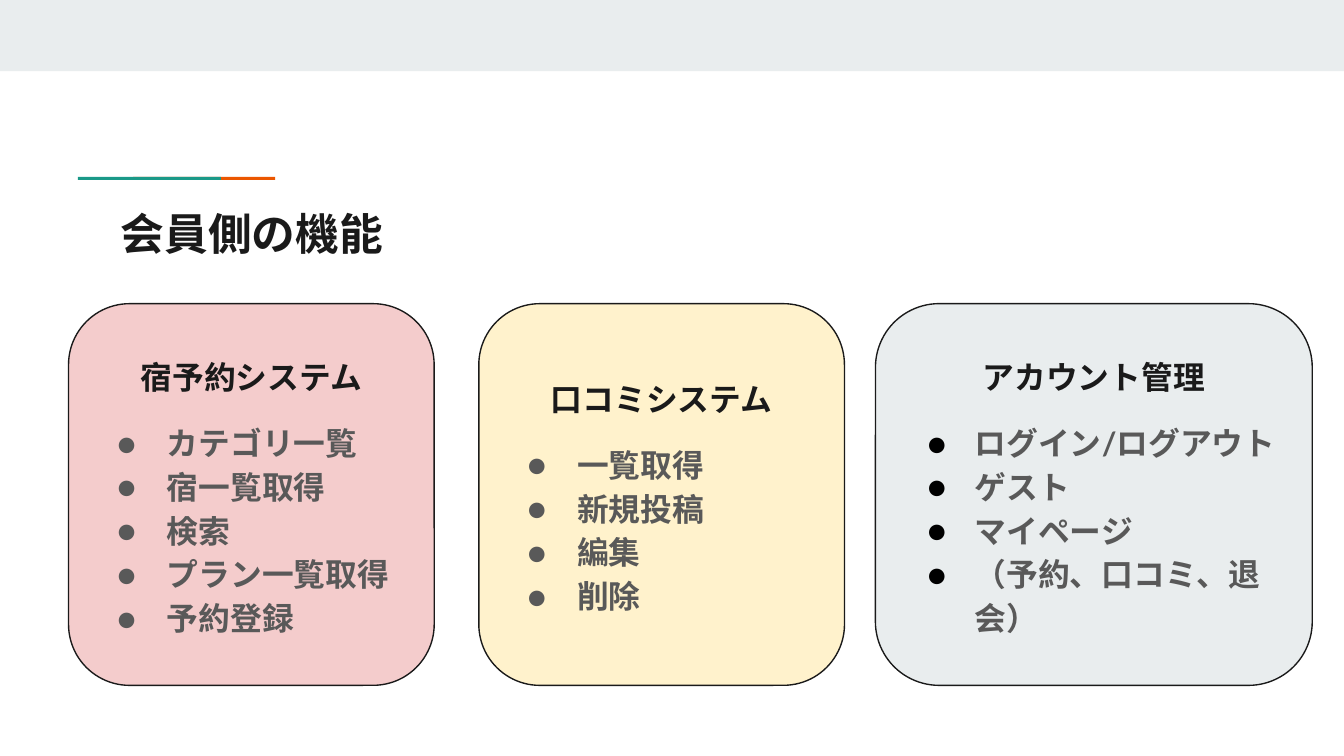
"""Build the slide listing the member-side features in three cards."""
from lxml.etree import SubElement
from pptx import Presentation
from pptx.dml.color import RGBColor
from pptx.enum.shapes import MSO_SHAPE
from pptx.enum.text import MSO_ANCHOR, PP_ALIGN
from pptx.oxml.ns import qn
from pptx.util import Pt

COLORS = {"ink": "1A1A1A", "grey": "595959", "black": "000000", "mist": "E9EDEE",
          "teal": "1A9988", "orange": "EB5600", "pink": "F4CCCC", "cream": "FFF2CC"}
TITLE = {"name": "Manrope", "size": Pt(23.4), "bold": True}
BODY = {"name": "Lato", "size": Pt(17), "bold": True}
INSETS = {"margin_left": Pt(7.2), "margin_right": Pt(7.2), "margin_top": Pt(7.2),
          "margin_bottom": Pt(7.2), "word_wrap": True}
BARS = [(0, 0, 720, 38.2, "mist"), (71.3, 94.8, 76.1, 1.6, "orange"),
        (41.8, 94.8, 76.6, 1.6, "teal")]
CARDS = [
    (36.7, 195.9, "pink", "grey", 26.6, "宿予約システム",
     ["カテゴリ一覧", "宿一覧取得", "検索", "プラン一覧取得", "予約登録"]),
    (256.5, 195.9, "cream", "grey", 26.6, "口コミシステム",
     ["一覧取得", "新規投稿", "編集", "削除"]),
    (469, 234, "mist", "black", 25.2, "アカウント管理",
     ["ログイン/ログアウト", "ゲスト", "マイページ", "（予約、口コミ、退会）"]),
]


def add_box(kind, x, y, w, h, fill):
    sp = s.shapes.add_shape(kind, Pt(x), Pt(y), Pt(w), Pt(h))
    sp.shadow.inherit = False
    sp.fill.solid()
    sp.fill.fore_color.rgb = RGBColor.from_string(COLORS[fill])
    sp.line.fill.background()
    return sp


def add_text(p, text, style, color):
    r = p.add_run()
    r.text = text
    for key, value in style.items():
        setattr(r.font, key, value)
    r.font.color.rgb = RGBColor.from_string(COLORS[color])


prs = Presentation()
prs.slide_width, prs.slide_height = Pt(720), Pt(405)
s = prs.slides.add_slide(prs.slide_layouts[6])

for x, y, w, h, fill in BARS:
    add_box(MSO_SHAPE.RECTANGLE, x, y, w, h, fill)

tf = s.shapes.add_textbox(Pt(57.6), Pt(103.7), Pt(605.5), Pt(42.5)).text_frame
for key, value in INSETS.items():
    setattr(tf, key, value)
add_text(tf.paragraphs[0], "会員側の機能", TITLE, "ink")

for x, w, fill, bullet, hang, heading, items in CARDS:
    sp = add_box(MSO_SHAPE.ROUNDED_RECTANGLE, x, 162.7, w, 204.5, fill)
    sp.adjustments[0] = 0.167
    sp.line.color.rgb = RGBColor.from_string(COLORS["ink"])
    sp.line.width = Pt(0.75)
    tf = sp.text_frame
    for key, value in INSETS.items():
        setattr(tf, key, value)
    tf.vertical_anchor = MSO_ANCHOR.MIDDLE
    p = tf.paragraphs[0]
    p.alignment = PP_ALIGN.CENTER
    p.line_spacing = 1.15
    add_text(p, heading, BODY, "ink")
    for i, item in enumerate(items):
        p = tf.add_paragraph()
        p.alignment = PP_ALIGN.LEFT
        p.line_spacing = 1.15
        p.space_before = Pt(0 if i else 12)
        pPr = p._p.get_or_add_pPr()
        pPr.set("marL", str(Pt(36)))
        pPr.set("indent", str(-Pt(hang)))
        clr = SubElement(pPr, qn("a:buClr"))
        SubElement(clr, qn("a:srgbClr")).set("val", COLORS[bullet])
        SubElement(pPr, qn("a:buFont")).set("typeface", "Lato")
        SubElement(pPr, qn("a:buChar")).set("char", "●")
        add_text(p, item, BODY, "grey")

prs.save("out.pptx")
